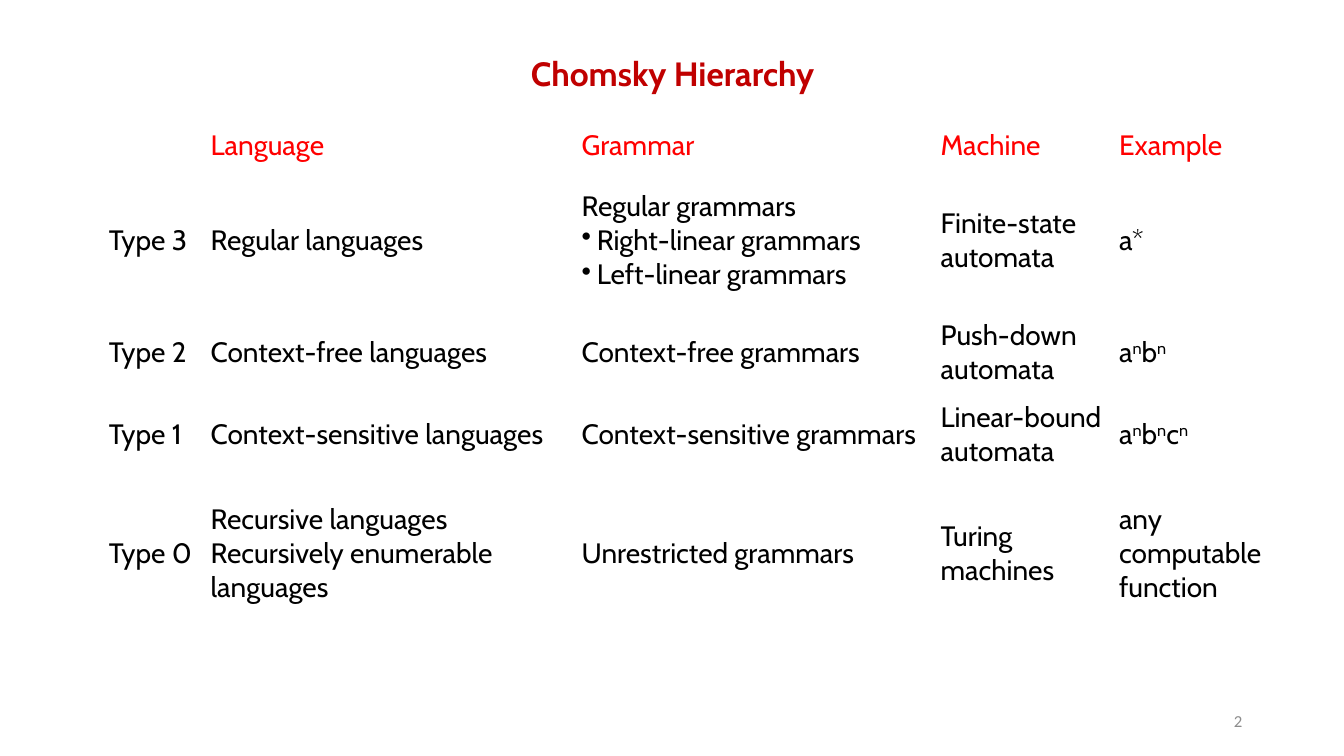
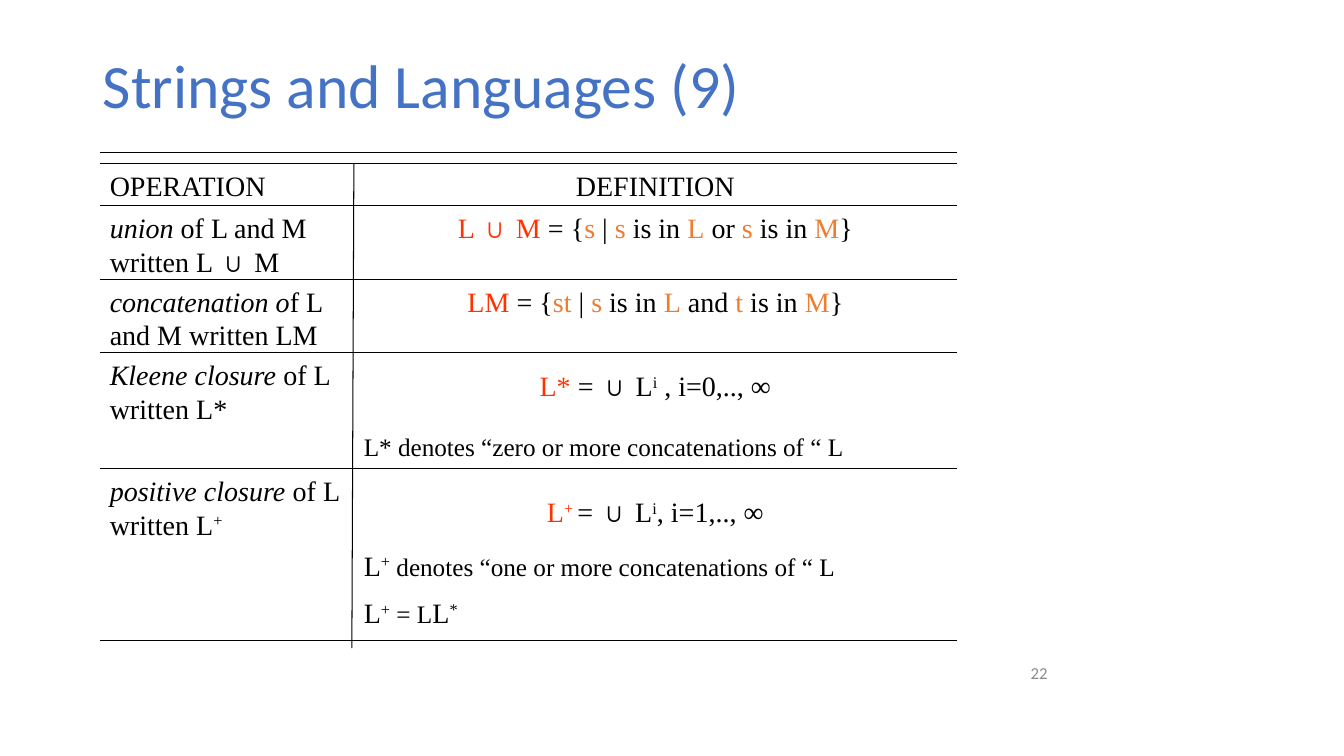
"""Build two slides on formal languages: the Chomsky hierarchy and language operations."""
from dataclasses import dataclass

from pptx import Presentation
from pptx import util as u
from pptx.dml.color import RGBColor
from pptx.enum import shapes, text
from pptx.oxml import ns, xmlchemy as xml

PX = 9144
LEFT, MID, RIGHT = text.PP_ALIGN.LEFT, text.PP_ALIGN.CENTER, text.PP_ALIGN.RIGHT


@dataclass(frozen=True)
class Theme:
    """Colours, fonts and type sizes."""
    black: str = "000000"
    dark: str = "C00000"
    red: str = "FF0000"
    blue: str = "4472C4"
    grey: str = "8C8C8C"
    flame: str = "FF3300"
    orange: str = "ED7D31"
    round: str = "Cabin"
    plain: str = "Calibri"
    serif: str = "Times New Roman"
    head: int = 24
    big: int = 44
    body: int = 20
    small: int = 18
    foot: int = 12


T = Theme()

HEADS = ["", "Language", "Grammar", "Machine", "Example"]
TYPES = [
    ["Type 3", "Regular languages",
     "Regular grammars\n• Right-linear grammars\n• Left-linear grammars",
     "Finite-state automata", "a*"],
    ["Type 2", "Context-free languages", "Context-free grammars",
     "Push-down automata", ["a", ("n", "^"), "b", ("n", "^")]],
    ["Type 1", "Context-sensitive languages", "Context-sensitive grammars",
     "Linear-bound automata",
     ["a", ("n", "^"), "b", ("n", "^"), "c", ("n", "^")]],
    ["Type 0", "Recursive languages\nRecursively enumerable languages",
     "Unrestricted grammars", "Turing machines", "any computable function"],
]
COLS = [101, 368, 356, 177, 167]
ROWS = [44, 141, 78, 79, 154]

RULES = [151, 162, 204, 277, 350, 465, 635]
NAMES = [
    ["OPERATION"],
    [("union", "i"), " of L and M written L ∪ M"],
    [("concatenation o", "i"), "f L and M written LM"],
    [("Kleene closure", "i"), " of L written L*"],
    [("positive closure", "i"), " of L written L", ("+", "^")],
]
DEFS = [
    (162, ["DEFINITION"]),
    (204, [("L ∪ M", "f"), " = {", ("s", "o"), " | ", ("s", "o"), " is in ",
           ("L", "o"), " or ", ("s", "o"), " is in ", ("M", "o"), "}"]),
    (277, [("LM", "f"), " = {", ("st", "o"), " | ", ("s", "o"), " is in ",
           ("L", "o"), " and ", ("t", "o"), " is in ", ("M", "o"), "}"]),
    (361, [("L* ", "f"), "= ∪ L", ("i", "^"), " , i=0,.., ∞"]),
    (486, [("L", "f"), ("+ ", "f^"), "= ∪ L", ("i", "^"), ", i=1,.., ∞"]),
]
NOTES = [
    (423, [[("L* denotes “zero or more concatenations of “ L", "s")]]),
    (539, [["L", ("+", "^"), (" denotes “one or more concatenations of “ L", "s")],
           ["L", ("+", "^"), (" = L", "s"), "L", ("*", "^")]]),
]


def px(*vals):
    """Turn px lengths into EMU."""
    return [u.Emu(v * PX) for v in vals]


def style(font, face, size, hue):
    """Set the face, size and colour of a font."""
    font.name, font.size = face, u.Pt(size)
    font.color.rgb = RGBColor.from_string(hue)


def write(para, parts, face, hue=T.black):
    """Write runs; marks are i italic, ^ raised, s small, f flame, o orange."""
    for part in parts:
        words, marks = (part, "") if isinstance(part, str) else part
        run = para.add_run()
        run.text = words
        tint = T.flame if "f" in marks else T.orange if "o" in marks else hue
        style(run.font, face, T.small if "s" in marks else T.body, tint)
        if "i" in marks:
            run.font.italic = True
        if "^" in marks:
            run._r.get_or_add_rPr().set("baseline", "30000")


def bullet(para):
    """Give a paragraph a hanging dot."""
    prop = para._p.get_or_add_pPr()
    prop.set("marL", str(15 * PX))
    prop.set("indent", str(-15 * PX))
    dot = xml.OxmlElement("a:buChar")
    dot.set("char", "•")
    prop.append(dot)


def title(slide, words, box, face, size, hue, align=LEFT, bold=False):
    """Place and format the title."""
    item = slide.shapes.title
    item.left, item.top, item.width, item.height = px(*box)
    frame = item.text_frame
    frame.text = words
    frame.vertical_anchor = text.MSO_ANCHOR.MIDDLE
    para = frame.paragraphs[0]
    para.alignment, para.line_spacing = align, 0.9
    style(para.runs[0].font, face, size, hue)
    para.runs[0].font.bold = bold


def label(slide, box, paras, align=LEFT):
    """Add a serif text box with one or more rich paragraphs."""
    frame = slide.shapes.add_textbox(*px(*box)).text_frame
    frame.word_wrap = True
    for i, parts in enumerate(paras):
        para = frame.add_paragraph() if i else frame.paragraphs[0]
        para.alignment = align
        if i:
            para.space_before = u.Pt(T.body / 2)
        write(para, parts, T.serif)


def number(slide, value, left, top):
    """Add the page number."""
    frame = slide.shapes.add_textbox(*px(left, top, 300, 40)).text_frame
    frame.word_wrap = True
    frame.vertical_anchor = text.MSO_ANCHOR.MIDDLE
    frame.text = value
    para = frame.paragraphs[0]
    para.alignment = RIGHT
    style(para.runs[0].font, T.plain, T.foot, T.grey)


def rule(slide, *ends):
    """Draw a thin black line."""
    line = slide.shapes.add_connector(shapes.MSO_CONNECTOR.STRAIGHT, *px(*ends))
    line.line.color.rgb = RGBColor.from_string(T.black)
    line.line.width = u.Pt(0.75)
    line._element.find(ns.qn("p:spPr")).append(xml.OxmlElement("a:effectLst"))


def fill(cell, value, hue):
    """Format a table cell and write its lines."""
    cell.fill.background()
    cell.vertical_anchor = text.MSO_ANCHOR.MIDDLE
    cell.margin_left = cell.margin_right = u.Emu(7 * PX)
    cell.margin_top = cell.margin_bottom = u.Emu(7 * PX)
    lines = [[s] for s in value.split("\n")] if isinstance(value, str) else [value]
    for i, parts in enumerate(lines):
        frame = cell.text_frame
        para = frame.add_paragraph() if i else frame.paragraphs[0]
        first = parts[0]
        if first == "":
            continue
        if isinstance(first, str) and first.startswith("• "):
            bullet(para)
            parts = [first[2:]]
        write(para, parts, T.round, hue)


def table(slide, left, top):
    """Add the table of language types."""
    box = px(left, top, sum(COLS), sum(ROWS))
    grid = slide.shapes.add_table(len(ROWS), len(COLS), *box).table
    grid.first_row = grid.horz_banding = False
    for col, wide in zip(grid.columns, px(*COLS)):
        col.width = wide
    for row, high in zip(grid.rows, px(*ROWS)):
        row.height = high
    for r, vals in enumerate([HEADS] + TYPES):
        for c, value in enumerate(vals):
            fill(grid.cell(r, c), value, T.black if r else T.red)


def levels(slide):
    """Build the hierarchy slide."""
    title(slide, "Chomsky Hierarchy", (92, 40, 1150, 71),
          T.round, T.head, T.dark, MID, True)
    table(slide, 101, 120)
    number(slide, "2", 942, 695)


def strings(slide):
    """Build the operations slide."""
    title(slide, "Strings and Languages (9)", (92, 39, 1150, 97),
          T.plain, T.big, T.blue)
    left, mid, right = 99, 351, 949
    for y in RULES:
        rule(slide, left, y, right, y)
    rule(slide, mid, RULES[1], mid - 2, 643)
    for y, parts in zip(RULES[1:], NAMES):
        label(slide, (left, y, mid - left, 43), [parts])
    for y, parts in DEFS:
        label(slide, (mid, y, right - mid, 43), [parts], MID)
    for y, paras in NOTES:
        label(slide, (mid, y, 556, 43 * len(paras)), paras)
    number(slide, "22", 749, 647)


def main():
    """Make and save the deck."""
    deck = Presentation()
    deck.slide_width, deck.slide_height = px(1333, 750)
    for build in (levels, strings):
        build(deck.slides.add_slide(deck.slide_layouts[5]))
    deck.save("out.pptx")


if __name__ == "__main__":
    main()
